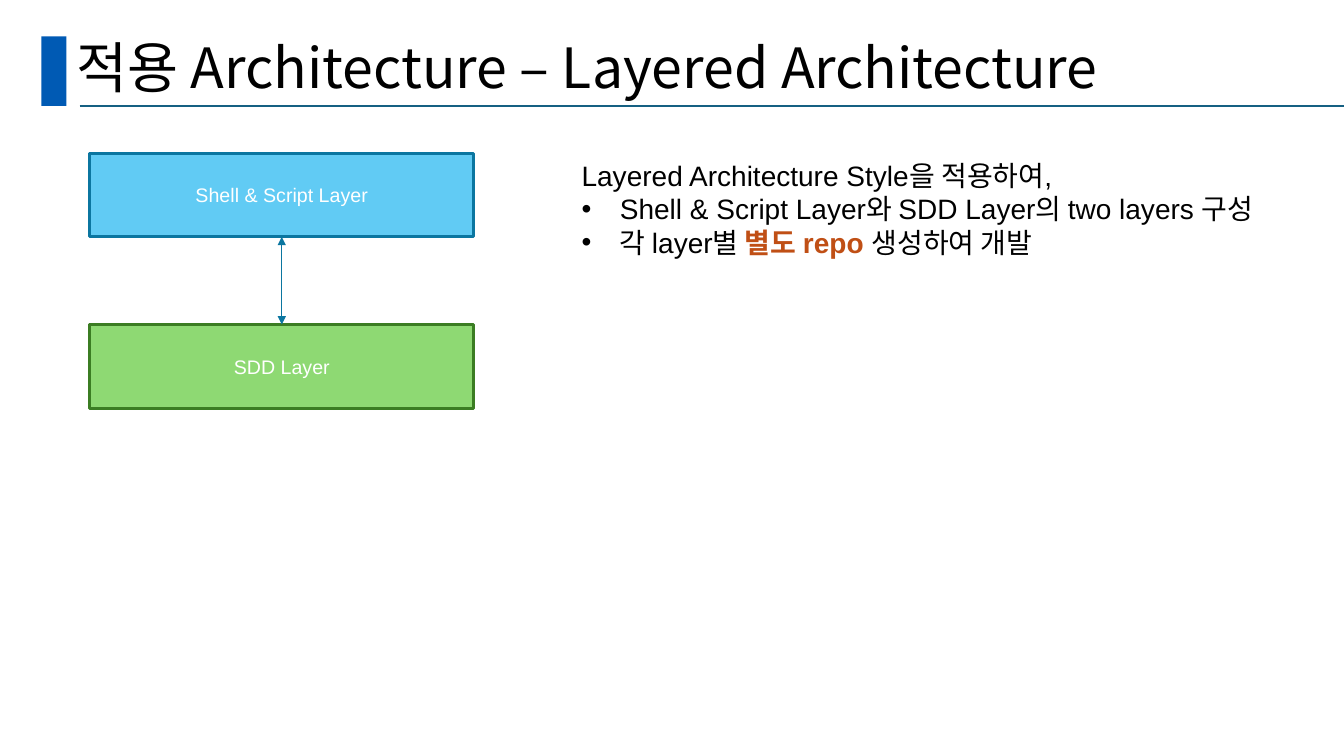
import pptx
import pptx.dml.color
import pptx.enum.shapes
import pptx.enum.text
import pptx.oxml.ns
import pptx.util
from lxml import etree

Inches = pptx.util.Inches
Pt = pptx.util.Pt
RGBColor = pptx.dml.color.RGBColor
MSO_SHAPE = pptx.enum.shapes.MSO_SHAPE
MSO_CONNECTOR = pptx.enum.shapes.MSO_CONNECTOR
MSO_ANCHOR = pptx.enum.text.MSO_ANCHOR
MSO_AUTO_SIZE = pptx.enum.text.MSO_AUTO_SIZE
PP_ALIGN = pptx.enum.text.PP_ALIGN
qn = pptx.oxml.ns.qn

BLACK = RGBColor(0x00, 0x00, 0x00)
WHITE = RGBColor(0xFF, 0xFF, 0xFF)
ACCENT_BLUE = RGBColor(0x00, 0x5A, 0xB4)
RULE_TEAL = RGBColor(0x15, 0x60, 0x82)
SHELL_FILL = RGBColor(0x61, 0xCB, 0xF4)
SHELL_LINE = RGBColor(0x0B, 0x76, 0xA0)
SDD_FILL = RGBColor(0x8E, 0xD9, 0x73)
SDD_LINE = RGBColor(0x3B, 0x7D, 0x23)
HIGHLIGHT = RGBColor(0xC0, 0x4F, 0x15)

KOREAN_FONT = "Noto Sans CJK KR"
BODY_FONT = "Arial"
LAYER_LEFT = 0.89
LAYER_WIDTH = 3.81
LAYER_HEIGHT = 0.83
SHELL_TOP = 1.52
SDD_TOP = 3.22


def format_run(run, size, color, font=BODY_FONT, bold=False):
    run.font.size = Pt(size)
    run.font.name = font
    run.font.bold = bold
    run.font.color.rgb = color
    properties = run.font._element
    etree.SubElement(properties, qn("a:ea"), typeface=KOREAN_FONT)


def add_rectangle(slide, left, top, width, height, fill, line=None):
    shape = slide.shapes.add_shape(
        MSO_SHAPE.RECTANGLE, Inches(left), Inches(top), Inches(width), Inches(height)
    )
    shape.shadow.inherit = False
    shape.fill.solid()
    shape.fill.fore_color.rgb = fill
    if line is None:
        shape.line.fill.background()
    else:
        shape.line.color.rgb = line
        shape.line.width = Pt(2)
    return shape


def add_layer(slide, name, top, fill, line):
    layer = add_rectangle(slide, LAYER_LEFT, top, LAYER_WIDTH, LAYER_HEIGHT, fill, line)
    text_frame = layer.text_frame
    text_frame.text = name
    text_frame.vertical_anchor = MSO_ANCHOR.MIDDLE
    paragraph = text_frame.paragraphs[0]
    paragraph.alignment = PP_ALIGN.CENTER
    format_run(paragraph.runs[0], 14, WHITE)
    return layer


def add_line(slide, start, end, color, width):
    connector = slide.shapes.add_connector(
        MSO_CONNECTOR.STRAIGHT, *(Inches(value) for value in start + end)
    )
    connector.line.color.rgb = color
    connector.line.width = Pt(width)
    etree.SubElement(connector._element.spPr, qn("a:effectLst"))
    return connector


def add_double_arrow(slide, upper, lower, color):
    center = LAYER_LEFT + LAYER_WIDTH / 2
    arrow = add_line(
        slide, (center, SHELL_TOP + LAYER_HEIGHT), (center, SDD_TOP), color, 0.75
    )
    arrow.begin_connect(upper, 2)
    arrow.end_connect(lower, 0)
    line_properties = arrow.line._get_or_add_ln()
    for end in ("a:headEnd", "a:tailEnd"):
        etree.SubElement(line_properties, qn(end), type="triangle")


def add_text_box(slide, left, top, width, height):
    box = slide.shapes.add_textbox(
        Inches(left), Inches(top), Inches(width), Inches(height)
    )
    box.text_frame.word_wrap = True
    return box.text_frame


def add_title(slide, title):
    text_frame = add_text_box(slide, 0.66, 0.34, 11.5, 0.71)
    text_frame.text = title
    text_frame.vertical_anchor = MSO_ANCHOR.MIDDLE
    paragraph = text_frame.paragraphs[0]
    paragraph.line_spacing = 0.9
    format_run(paragraph.runs[0], 39.6, BLACK, KOREAN_FONT)


def set_bullet(paragraph):
    properties = paragraph._p.get_or_add_pPr()
    properties.set("marL", str(Inches(0.38)))
    properties.set("indent", str(-Inches(0.38)))
    bullet_color = etree.SubElement(properties, qn("a:buClr"))
    etree.SubElement(bullet_color, qn("a:srgbClr"), val=str(BLACK))
    etree.SubElement(properties, qn("a:buFont"), typeface=BODY_FONT)
    etree.SubElement(properties, qn("a:buChar"), char="•")


def add_description(slide, introduction, bullets):
    text_frame = add_text_box(slide, 5.67, 1.52, 7, 1.11)
    text_frame.auto_size = MSO_AUTO_SIZE.SHAPE_TO_FIT_TEXT
    text_frame.text = introduction
    format_run(text_frame.paragraphs[0].runs[0], 20, BLACK)
    for pieces in bullets:
        paragraph = text_frame.add_paragraph()
        set_bullet(paragraph)
        for text, highlighted in pieces:
            run = paragraph.add_run()
            run.text = text
            color = HIGHLIGHT if highlighted else BLACK
            format_run(run, 20, color, bold=highlighted)


def main():
    presentation = pptx.Presentation()
    presentation.slide_width = Inches(13.33)
    presentation.slide_height = Inches(7.5)
    slide = presentation.slides.add_slide(presentation.slide_layouts[6])

    add_rectangle(slide, 0.41, 0.36, 0.25, 0.69, ACCENT_BLUE)
    add_line(slide, (0.79, 1.05), (13.33, 1.05), RULE_TEAL, 1.5)
    add_title(slide, "적용 Architecture – Layered Architecture")

    shell = add_layer(slide, "Shell & Script Layer", SHELL_TOP, SHELL_FILL, SHELL_LINE)
    sdd = add_layer(slide, "SDD Layer", SDD_TOP, SDD_FILL, SDD_LINE)
    add_description(
        slide,
        "Layered Architecture Style을 적용하여,",
        [
            [("Shell & Script Layer와 SDD Layer의 two layers 구성", False)],
            [("각 layer별 ", False), ("별도 repo ", True), ("생성하여 개발", False)],
        ],
    )
    add_double_arrow(slide, shell, sdd, SHELL_LINE)

    presentation.save("out.pptx")


if __name__ == "__main__":
    main()
